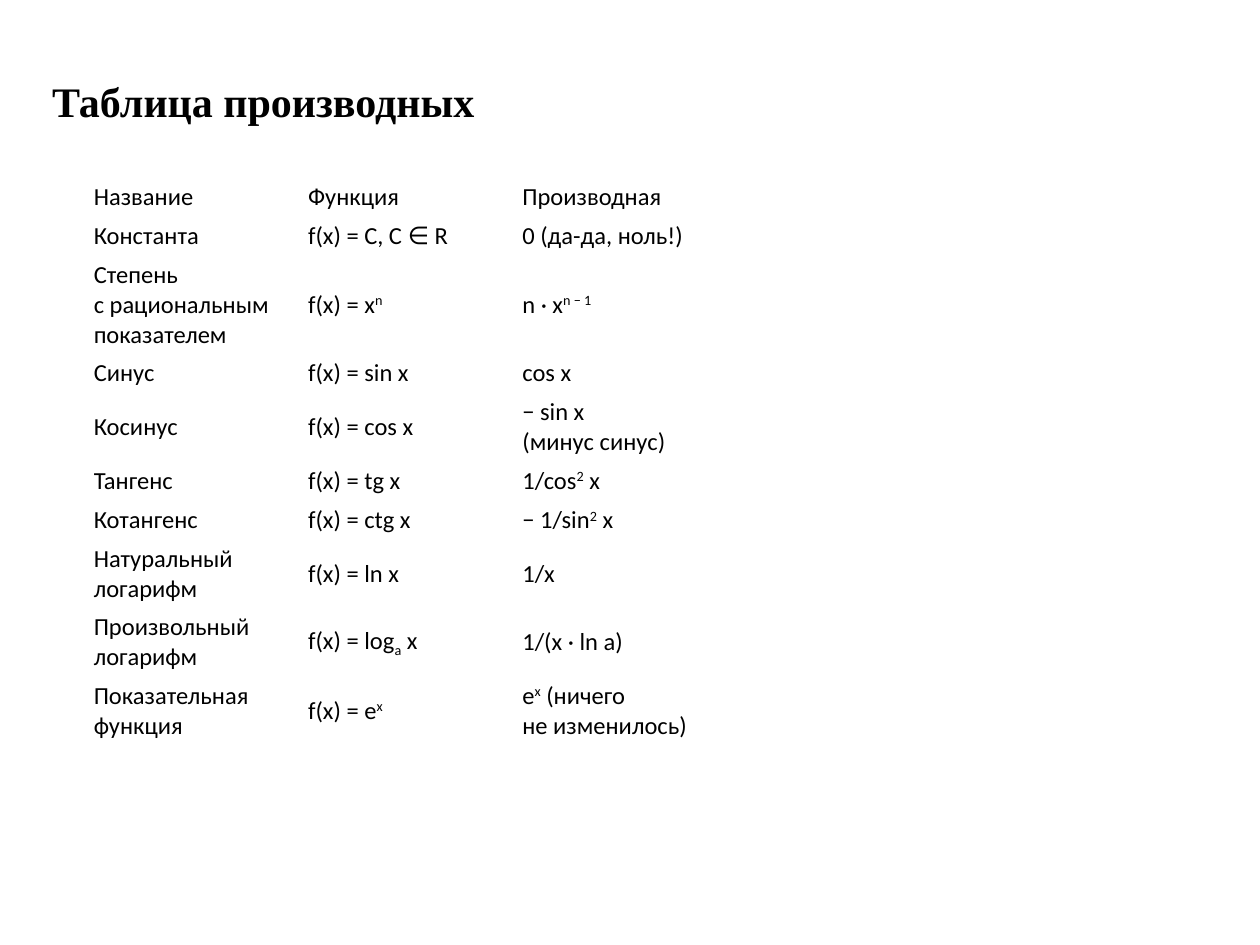
from pptx import Presentation
from pptx.dml.color import RGBColor
from pptx.enum.text import MSO_ANCHOR as Anchor, MSO_AUTO_SIZE as AutoSize
from pptx.util import Cm, Pt

TITLE_FORMAT = {"name": "Times New Roman", "size": Pt(24), "bold": True}
CELL_FORMAT = {"name": "Calibri", "size": Pt(14), "bold": False}
CELL_LAYOUT = {
    "vertical_anchor": Anchor.MIDDLE,
    "margin_left": Cm(0.19), "margin_right": Cm(0.19),
    "margin_top": Cm(0.09), "margin_bottom": Cm(0.09),
}
BLACK = "000000"
COLUMN_WIDTH = 4.32
FIRST_LINE, NEXT_LINE = 0.79, 0.59
BASELINES = {"^": "30000", "_": "-25000"}

# Lines of text, name, function, derivative.
# "~" is a no-break space; "|" splits runs, "^" raises one, "_" lowers one.
DERIVATIVES = [
    (1, "Название", "Функция", "Производная"),
    (1, "Константа", "f(x)~=~C, C~∈~R", "0~(да-да,~ноль!)"),
    (3, "Степень с~рациональным показателем", "f(x)~=~x|^n", "n~·~x|^n~−~1"),
    (1, "Синус", "f(x)~=~sin~x", "cos~x"),
    (2, "Косинус", "f(x)~=~cos~x", "−~sin~x (минус~синус)"),
    (1, "Тангенс", "f(x)~=~tg~x", "1/cos|^2|~x"),
    (1, "Котангенс", "f(x)~=~ctg~x", "−~1/sin|^2|~x"),
    (2, "Натуральный логарифм", "f(x)~=~ln~x", "1/x"),
    (2, "Произвольный логарифм", "f(x)~=~log|_a|~x", "1/(x~·~ln~a)"),
    (2, "Показательная функция", "f(x)~=~e|^x", "e|^x| (ничего не~изменилось)"),
]


def color(value):
    return RGBColor.from_string(value)


def apply(target, values):
    for name, value in values.items():
        setattr(target, name, value)


def write(paragraph, markup, font_format):
    for part in markup.replace("~", "\u00a0").split("|"):
        baseline = BASELINES.get(part[0])
        run = paragraph.add_run()
        run.text = part[1:] if baseline else part
        apply(run.font, font_format)
        run.font.color.rgb = color(BLACK)
        if baseline:
            run.font._element.set("baseline", baseline)


def add_title(slide, text):
    title = slide.shapes.add_textbox(Cm(0.8), Cm(1.4), Cm(16.08), Cm(1.28))
    apply(title.text_frame,
          {"word_wrap": True, "auto_size": AutoSize.SHAPE_TO_FIT_TEXT})
    write(title.text_frame.paragraphs[0], text, TITLE_FORMAT)


def add_derivatives(slide, entries):
    columns = len(entries[0]) - 1
    heights = [FIRST_LINE + NEXT_LINE * (lines - 1) for lines, *_ in entries]
    table = slide.shapes.add_table(
        len(entries), columns, Cm(1.7), Cm(3.58),
        Cm(COLUMN_WIDTH * columns), Cm(sum(heights))).table
    apply(table, {"first_row": False, "horz_banding": False})
    for column in table.columns:
        column.width = Cm(COLUMN_WIDTH)
    for row, height, (_, *formulas) in zip(table.rows, heights, entries):
        row.height = Cm(height)
        for cell, formula in zip(row.cells, formulas):
            apply(cell, CELL_LAYOUT)
            cell.fill.background()
            write(cell.text_frame.paragraphs[0], formula, CELL_FORMAT)


def main():
    deck = Presentation()
    apply(deck, {"slide_width": Cm(25.4), "slide_height": Cm(19.05)})
    slide = deck.slides.add_slide(deck.slide_layouts[6])

    # Heading
    add_title(slide, "Таблица производных")

    # Functions and their derivatives
    add_derivatives(slide, DERIVATIVES)

    deck.save("out.pptx")


main()
